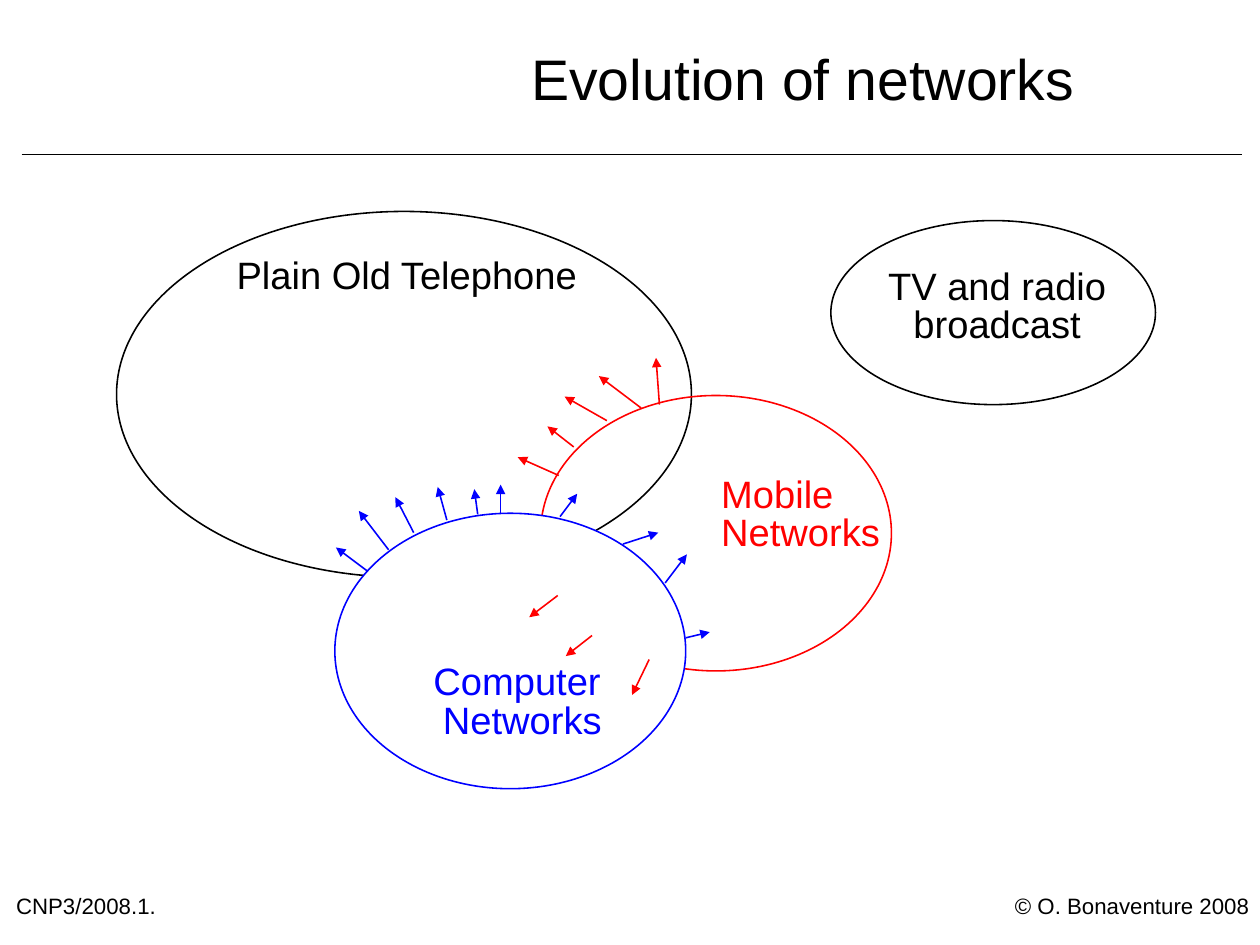
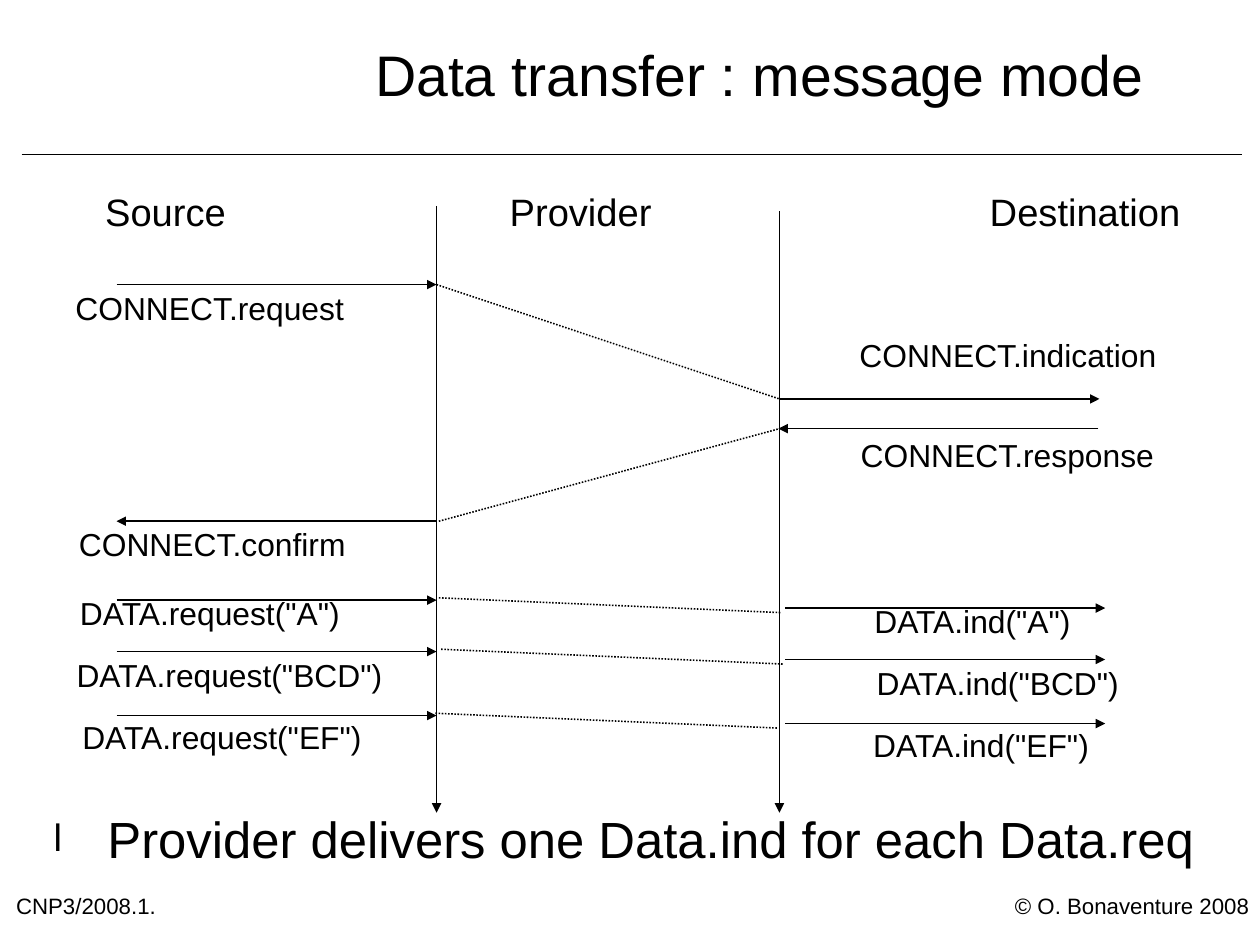
from dataclasses import dataclass

from lxml.etree import SubElement
from pptx import Presentation
from pptx.dml.color import RGBColor
from pptx.enum.dml import MSO_LINE
from pptx.enum.shapes import MSO_CONNECTOR, MSO_SHAPE
from pptx.enum.text import MSO_ANCHOR, MSO_AUTO_SIZE, PP_ALIGN
from pptx.oxml.ns import qn
from pptx.slide import Slide
from pptx.text.text import TextFrame
from pptx.util import Emu, Pt

PX = 9144
SLIDE_WIDTH, SLIDE_HEIGHT = Emu(10080625), Emu(7559675)
FONT = "Arial"
BLACK, WHITE, RED, BLUE = "000000", "FFFFFF", "FF0000", "0000FF"
SOURCE_X, PROVIDER_LEFT, PROVIDER_RIGHT = 102, 382, 682
ARROW_LENGTH = 280
INDICATION_DROP = 7


@dataclass(frozen=True)
class Box:
    """A rectangle in px."""
    left: int
    top: int
    width: int
    height: int

    def emu(self) -> tuple[Emu, ...]:
        """Return left, top, width and height in EMU."""
        return tuple(px(n) for n in (self.left, self.top, self.width, self.height))


@dataclass(frozen=True)
class Label:
    """A text label that fits its lines."""
    text: str
    left: int
    top: int
    width: int
    size: int = 24
    colour: str = BLACK
    align: PP_ALIGN = PP_ALIGN.LEFT


@dataclass(frozen=True)
class Line:
    """A straight line, with an arrowhead at its end unless plain."""
    x1: int
    y1: int
    x2: int
    y2: int
    colour: str = BLACK
    arrow: bool = True
    dotted: bool = False


@dataclass(frozen=True)
class Network:
    """An ellipse that stands for one network."""
    box: Box
    colour: str
    filled: bool = True


@dataclass(frozen=True)
class Transfer:
    """One message passed from the source to the destination."""
    payload: str
    y: int
    label_top: int
    request_left: int
    indication_left: int
    request_width: int
    dots_left: int


FOOTERS = (
    Label("© O. Bonaventure 2008", 888, 784, 208, 14),
    Label("CNP3/2008.1.", 14, 784, 168, 14),
)
NETWORKS = (
    Network(Box(102, 185, 503, 320), BLACK),
    Network(Box(473, 346, 307, 241), RED, filled=False),
    Network(Box(293, 449, 307, 241), BLUE),
    Network(Box(727, 193, 284, 161), BLACK),
)
NETWORK_LABELS = (
    Label("Plain Old Telephone", 207, 226, 304),
    Label("Mobile\nNetworks", 631, 418, 141, colour=RED),
    Label("Computer \vNetworks", 378, 582, 158, colour=BLUE, align=PP_ALIGN.CENTER),
    Label("TV and radio\nbroadcast", 776, 236, 193, align=PP_ALIGN.CENTER),
)
GROWTH = {
    BLUE: (
        (322, 500, 294, 479), (340, 481, 314, 447), (362, 466, 346, 435),
        (391, 455, 383, 426), (418, 450, 415, 428), (438, 449, 438, 424),
        (490, 452, 505, 432), (545, 476, 576, 466), (582, 510, 601, 485),
        (600, 558, 621, 553),
    ),
    RED: (
        (577, 354, 574, 313), (561, 357, 524, 329), (531, 368, 494, 347),
        (502, 391, 479, 373), (489, 416, 453, 400), (488, 521, 463, 540),
        (518, 556, 495, 574), (568, 577, 553, 608),
    ),
}
PARTY_LABELS = (
    Label("Source", 92, 171, 108),
    Label("Provider", 446, 171, 127),
    Label("Destination", 866, 171, 169),
)
CONNECT_LABELS = (
    Label("CONNECT.request", 66, 258, 240, 20),
    Label("CONNECT.indication", 752, 299, 265, 20),
    Label("CONNECT.response", 753, 387, 262, 20),
    Label("CONNECT.confirm", 69, 464, 239, 20),
)
CONNECT_LINES = (
    Line(PROVIDER_LEFT, 180, PROVIDER_LEFT, 711),
    Line(PROVIDER_RIGHT, 185, PROVIDER_RIGHT, 711),
    Line(SOURCE_X, 249, PROVIDER_LEFT, 249),
    Line(PROVIDER_LEFT, 249, PROVIDER_RIGHT, 349, arrow=False, dotted=True),
    Line(PROVIDER_RIGHT, 349, PROVIDER_RIGHT + ARROW_LENGTH, 349),
    Line(PROVIDER_RIGHT + ARROW_LENGTH - 1, 375, PROVIDER_RIGHT - 1, 375),
    Line(PROVIDER_LEFT + 2, 456, PROVIDER_RIGHT, 375, arrow=False, dotted=True),
    Line(PROVIDER_LEFT, 456, SOURCE_X, 456),
)
TRANSFERS = (
    Transfer("A", 525, 525, 70, 765, 234, 384),
    Transfer("BCD", 570, 579, 67, 767, 274, 386),
    Transfer("EF", 626, 633, 72, 764, 251, 381),
)


def px(length: int) -> Emu:
    """Turn px into EMU."""
    return Emu(length * PX)


def paint(code: str) -> RGBColor:
    """Turn a hex string into a colour."""
    return RGBColor.from_string(code)


def format_text(frame: TextFrame, size: int, colour: str, align: PP_ALIGN) -> None:
    """Clear the insets and give every paragraph the shared type style."""
    frame.margin_left = frame.margin_right = 0
    frame.margin_top = frame.margin_bottom = 0
    for para in frame.paragraphs:
        para.alignment = align
        para.line_spacing = 0.84
        para.space_before = Pt(0)
        para.font.name = FONT
        para.font.size = Pt(size)
        para.font.color.rgb = paint(colour)


def add_label(page: Slide, label: Label) -> None:
    """Add a text box as high as its lines."""
    lines = 1 + sum(label.text.count(mark) for mark in "\n\v")
    box = Box(label.left, label.top, label.width, round(1.4 * label.size * lines))
    frame = page.shapes.add_textbox(*box.emu()).text_frame
    frame.text = label.text
    frame.word_wrap = False
    frame.auto_size = MSO_AUTO_SIZE.SHAPE_TO_FIT_TEXT
    format_text(frame, label.size, label.colour, label.align)


def add_line(page: Slide, line: Line) -> None:
    """Add a connector without a shadow."""
    ends = (px(n) for n in (line.x1, line.y1, line.x2, line.y2))
    connector = page.shapes.add_connector(MSO_CONNECTOR.STRAIGHT, *ends)
    connector.line.color.rgb = paint(line.colour)
    connector.line.width = Pt(1)
    if line.dotted:
        connector.line.dash_style = MSO_LINE.ROUND_DOT
    if line.arrow:
        SubElement(connector.get_or_add_ln(), qn("a:tailEnd"), type="triangle")
    SubElement(connector._element.spPr, qn("a:effectLst"))


def add_network(page: Slide, network: Network) -> None:
    """Add the ellipse of a network."""
    ellipse = page.shapes.add_shape(MSO_SHAPE.OVAL, *network.box.emu())
    ellipse.shadow.inherit = False
    ellipse.line.color.rgb = paint(network.colour)
    ellipse.line.width = Pt(1)
    if network.filled:
        ellipse.fill.solid()
        ellipse.fill.fore_color.rgb = paint(WHITE)
    else:
        ellipse.fill.background()


def fill_placeholder(page: Slide, index: int, text: str, box: Box) -> TextFrame:
    """Move a placeholder, give it text and return its frame."""
    holder = page.placeholders[index]
    holder.left, holder.top, holder.width, holder.height = box.emu()
    frame = holder.text_frame
    frame.text = text
    frame.word_wrap = True
    frame.auto_size = MSO_AUTO_SIZE.NONE
    return frame


def add_page(deck: Presentation, layout: int, title: str, box: Box) -> Slide:
    """Add a slide with the shared title, rule and footers."""
    page = deck.slides.add_slide(deck.slide_layouts[layout])
    add_line(page, Line(19, 135, 1087, 135, arrow=False))
    for footer in FOOTERS:
        add_label(page, footer)
    frame = fill_placeholder(page, 0, title, box)
    frame.vertical_anchor = MSO_ANCHOR.MIDDLE
    format_text(frame, 36, BLACK, PP_ALIGN.CENTER)
    return page


def add_bullet(page: Slide, text: str, box: Box) -> None:
    """Fill the body placeholder with one bulleted line."""
    frame = fill_placeholder(page, 1, text, box)
    frame.vertical_anchor = MSO_ANCHOR.TOP
    props = frame.paragraphs[0]._p.get_or_add_pPr()
    props.set("marL", str(px(55)))
    props.set("indent", str(px(-47)))
    SubElement(SubElement(props, qn("a:buClr")), qn("a:srgbClr"), val=BLACK)
    SubElement(props, qn("a:buSzPct"), val="75000")
    SubElement(props, qn("a:buFont"), typeface=FONT)
    SubElement(props, qn("a:buChar"), char="l")
    format_text(frame, 32, BLACK, PP_ALIGN.LEFT)


def add_transfer(page: Slide, transfer: Transfer) -> None:
    """Draw a request, its dotted passage and its indication."""
    y, low, start = transfer.y, transfer.y + INDICATION_DROP, PROVIDER_RIGHT + 5
    dots = transfer.dots_left
    add_line(page, Line(SOURCE_X, y, PROVIDER_LEFT, y))
    add_line(page, Line(start, low, start + ARROW_LENGTH, low))
    add_line(page, Line(dots, y - 2, dots + 300, y + 11, arrow=False, dotted=True))
    add_label(page, Label(f'DATA.request("{transfer.payload}")', transfer.request_left,
                          transfer.label_top, transfer.request_width, 20))
    add_label(page, Label(f'DATA.ind("{transfer.payload}")', transfer.indication_left,
                          transfer.label_top + INDICATION_DROP,
                          transfer.request_width - 56, 20))


def build_networks(deck: Presentation) -> None:
    """Build the slide on how networks grow into each other."""
    page = add_page(deck, 5, "Evolution of networks", Box(373, 0, 659, 146))
    for network in NETWORKS:
        add_network(page, network)
    for label in NETWORK_LABELS:
        add_label(page, label)
    for colour, arrows in GROWTH.items():
        for ends in arrows:
            add_line(page, Line(*ends, colour))


def build_message_mode(deck: Presentation) -> None:
    """Build the slide with the message sequence."""
    page = add_page(deck, 1, "Data transfer : message mode", Box(278, 0, 773, 138))
    add_bullet(page, "Provider delivers one Data.ind for each Data.req",
               Box(39, 715, 1024, 69))
    for line in CONNECT_LINES:
        add_line(page, line)
    for label in PARTY_LABELS + CONNECT_LABELS:
        add_label(page, label)
    for transfer in TRANSFERS:
        add_transfer(page, transfer)


def main() -> None:
    """Build and save the deck."""
    deck = Presentation()
    deck.slide_width, deck.slide_height = SLIDE_WIDTH, SLIDE_HEIGHT
    build_networks(deck)
    build_message_mode(deck)
    deck.save("out.pptx")


if __name__ == "__main__":
    main()
